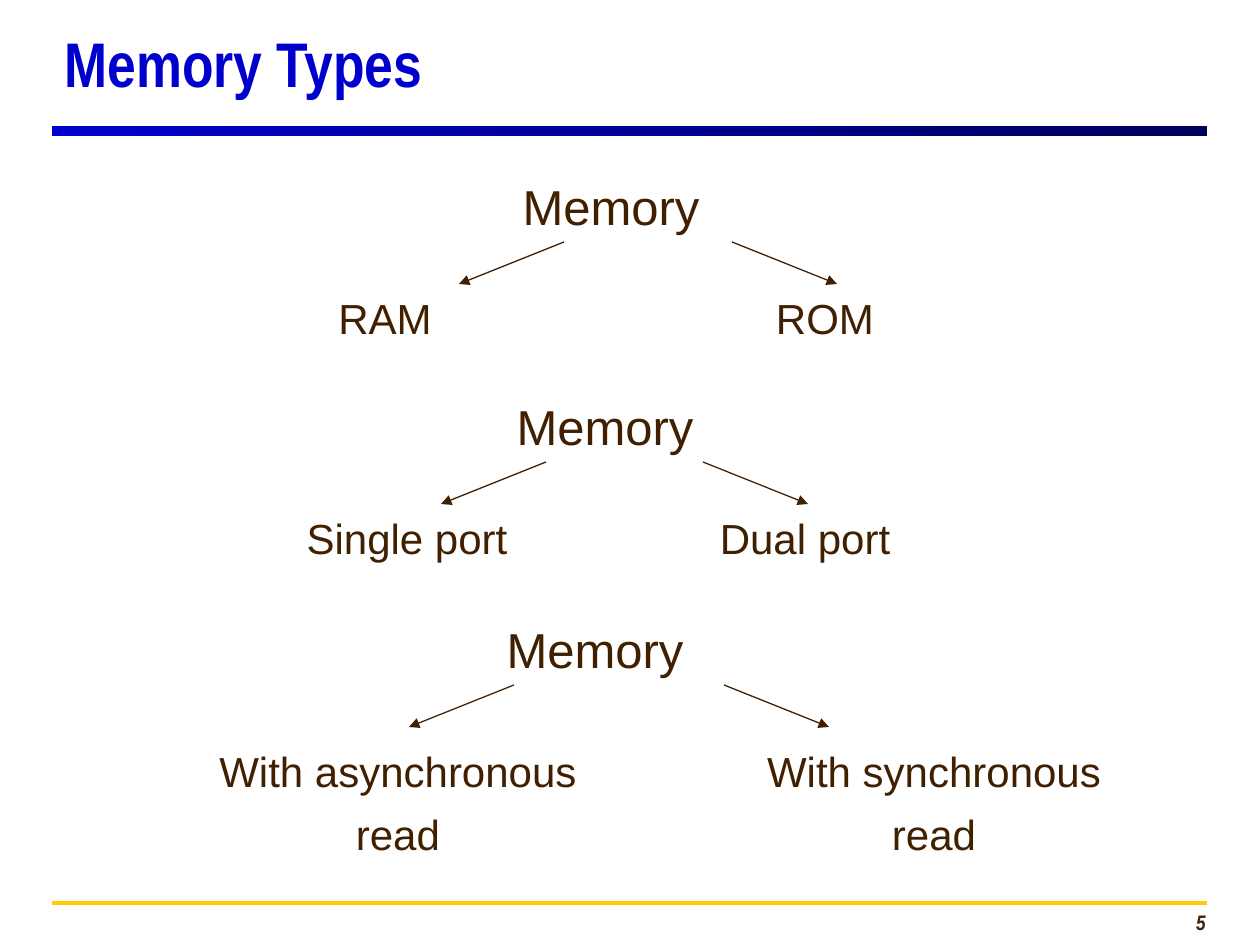
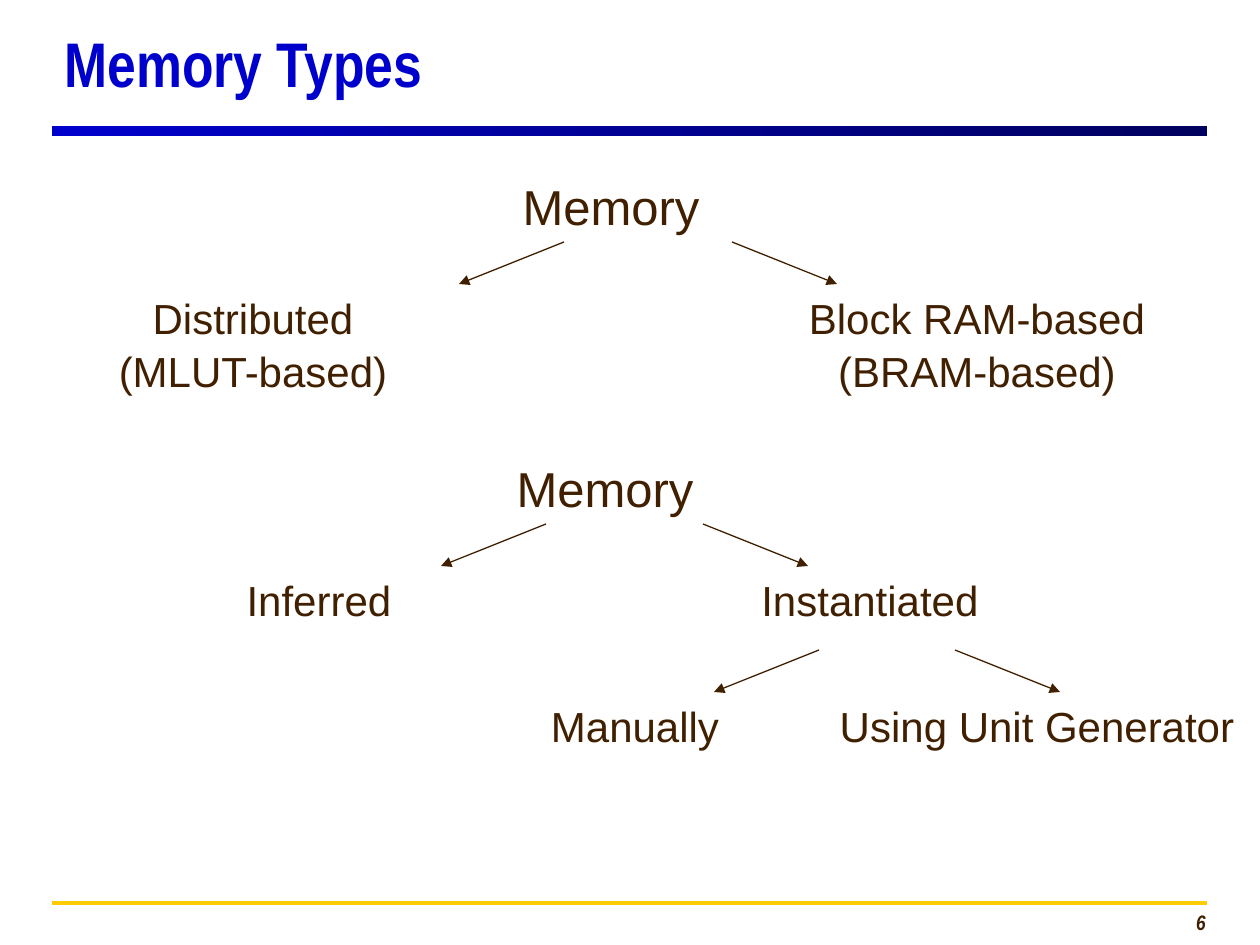
from dataclasses import dataclass
from lxml.etree import SubElement
from pptx import Presentation
from pptx.dml.color import RGBColor
from pptx.enum.shapes import MSO_CONNECTOR as Connector, MSO_SHAPE as Shape
from pptx.enum.text import MSO_ANCHOR as Anchor, MSO_AUTO_SIZE as AutoSize, PP_ALIGN as Align
from pptx.oxml.ns import qn
from pptx.util import Emu, Pt

TITLE = "Memory Types"
SLIDES = [
    (5, [
        {"root": ("Memory", 611), "arrows": (564, 732, 242),
         "children": [("RAM", 385), ("ROM", 825)]},
        {"root": ("Memory", 605), "arrows": (546, 703, 462),
         "children": [("Single port", 407), ("Dual port", 805)]},
        {"root": ("Memory", 595), "arrows": (514, 724, 685), "gap": 10, "space": 6,
         "children": [("With asynchronous\nread", 398), ("With synchronous\nread", 934)]},
    ]),
    (6, [
        {"root": ("Memory", 611), "arrows": (564, 732, 242),
         "children": [("Distributed\n(MLUT-based)", 253),
                      ("Block RAM-based\n(BRAM-based)", 977)]},
        {"root": ("Memory", 605), "arrows": (546, 703, 524),
         "children": [("Inferred", 319), ("Instantiated", 870)]},
        {"arrows": (819, 955, 650),
         "children": [("Manually", 635), ("Using Unit Generator", 1037)]},
    ]),
]


@dataclass(frozen=True)
class Theme:
    blue: str = "0000CC"
    navy: str = "00005E"
    gold: str = "FFCC00"
    brown: str = "402000"
    body_font: str = "Arial"
    title_font: str = "Arial Narrow"
    title_size: int = 36
    root_size: int = 28
    child_size: int = 24
    number_size: int = 12
    line_spacing: float = 1.05


THEME = Theme()
SLIDE_SIZE = (1260, 945)
MARGIN, CONTENT_WIDTH = 52, 1155
ARROW_RUN, ARROW_DROP = 105, 42
ROOT_RISE = 74
INSET = 6


def px(value):
    return Emu(round(value * 914400 / 126))


def box(left, top, width, height):
    return [px(value) for value in (left, top, width, height)]


def style_text(text_frame, size, color, font_name, bold=False, italic=False):
    for paragraph in text_frame.paragraphs:
        for run in paragraph.runs:
            font = run.font
            font.name, font.size = font_name, Pt(size)
            font.bold, font.italic = bold, italic
            font.color.rgb = RGBColor.from_string(color)


def add_line(slide, start, end, color, width, arrow=False):
    connector = slide.shapes.add_connector(
        Connector.STRAIGHT, *[px(value) for value in (*start, *end)])
    connector.line.color.rgb = RGBColor.from_string(color)
    connector.line.width = Pt(width)
    properties = connector._element.spPr
    if arrow:
        SubElement(properties.find(qn("a:ln")), qn("a:tailEnd"), type="triangle")
    SubElement(properties, qn("a:effectLst"))


def add_frame(slide, number):
    title = slide.shapes.title
    title.left, title.top, title.width, title.height = box(MARGIN, 10, CONTENT_WIDTH, 105)
    text_frame = title.text_frame
    text_frame.text = TITLE
    text_frame.auto_size = AutoSize.NONE
    text_frame.vertical_anchor = Anchor.MIDDLE
    text_frame.paragraphs[0].alignment = Align.LEFT
    style_text(text_frame, THEME.title_size, THEME.blue, THEME.title_font, bold=True)

    band = slide.shapes.add_shape(Shape.RECTANGLE, *box(MARGIN, 126, CONTENT_WIDTH, 10))
    band.shadow.inherit = False
    band.line.fill.background()
    band.fill.gradient()
    band.fill.gradient_angle = 0
    for stop, color in zip(band.fill.gradient_stops, (THEME.blue, THEME.navy)):
        stop.color.rgb = RGBColor.from_string(color)

    add_line(slide, (MARGIN, 903), (MARGIN + CONTENT_WIDTH, 903), THEME.gold, 2.5)
    text_frame = slide.shapes.add_textbox(*box(945, 903, 273, 38)).text_frame
    text_frame.text = str(number)
    text_frame.paragraphs[0].alignment = Align.RIGHT
    style_text(text_frame, THEME.number_size, THEME.brown, THEME.title_font,
               bold=True, italic=True)


def add_label(slide, text, center, top, size, space=0):
    lines = text.split("\n")
    width = (20 * max(map(len, lines)) + 40) * size / THEME.child_size
    height = 2 * INSET + len(lines) * size * 2.1
    text_frame = slide.shapes.add_textbox(*box(center - width / 2, top, width, height)).text_frame
    text_frame.word_wrap = False
    text_frame.margin_left = text_frame.margin_right = 0
    text_frame.margin_top = text_frame.margin_bottom = px(INSET)
    text_frame.text = text
    for index, paragraph in enumerate(text_frame.paragraphs):
        paragraph.alignment = Align.CENTER
        paragraph.line_spacing = THEME.line_spacing
        paragraph.space_before = Pt(space if index else 0)
    style_text(text_frame, size, THEME.brown, THEME.body_font)


def add_tree(slide, tree):
    left, right, top = tree["arrows"]
    bottom = top + ARROW_DROP
    if "root" in tree:
        add_label(slide, *tree["root"], top - ROOT_RISE, THEME.root_size)
    for start, run in ((left, -ARROW_RUN), (right, ARROW_RUN)):
        add_line(slide, (start, top), (start + run, bottom), THEME.brown, 0.75, arrow=True)
    for text, center in tree["children"]:
        add_label(slide, text, center, bottom + tree.get("gap", 0),
                  THEME.child_size, tree.get("space", 0))


def main():
    presentation = Presentation()
    presentation.slide_width, presentation.slide_height = map(px, SLIDE_SIZE)
    for number, trees in SLIDES:
        slide = presentation.slides.add_slide(presentation.slide_layouts[5])
        add_frame(slide, number)
        for tree in trees:
            add_tree(slide, tree)
    presentation.save("out.pptx")


if __name__ == "__main__":
    main()
